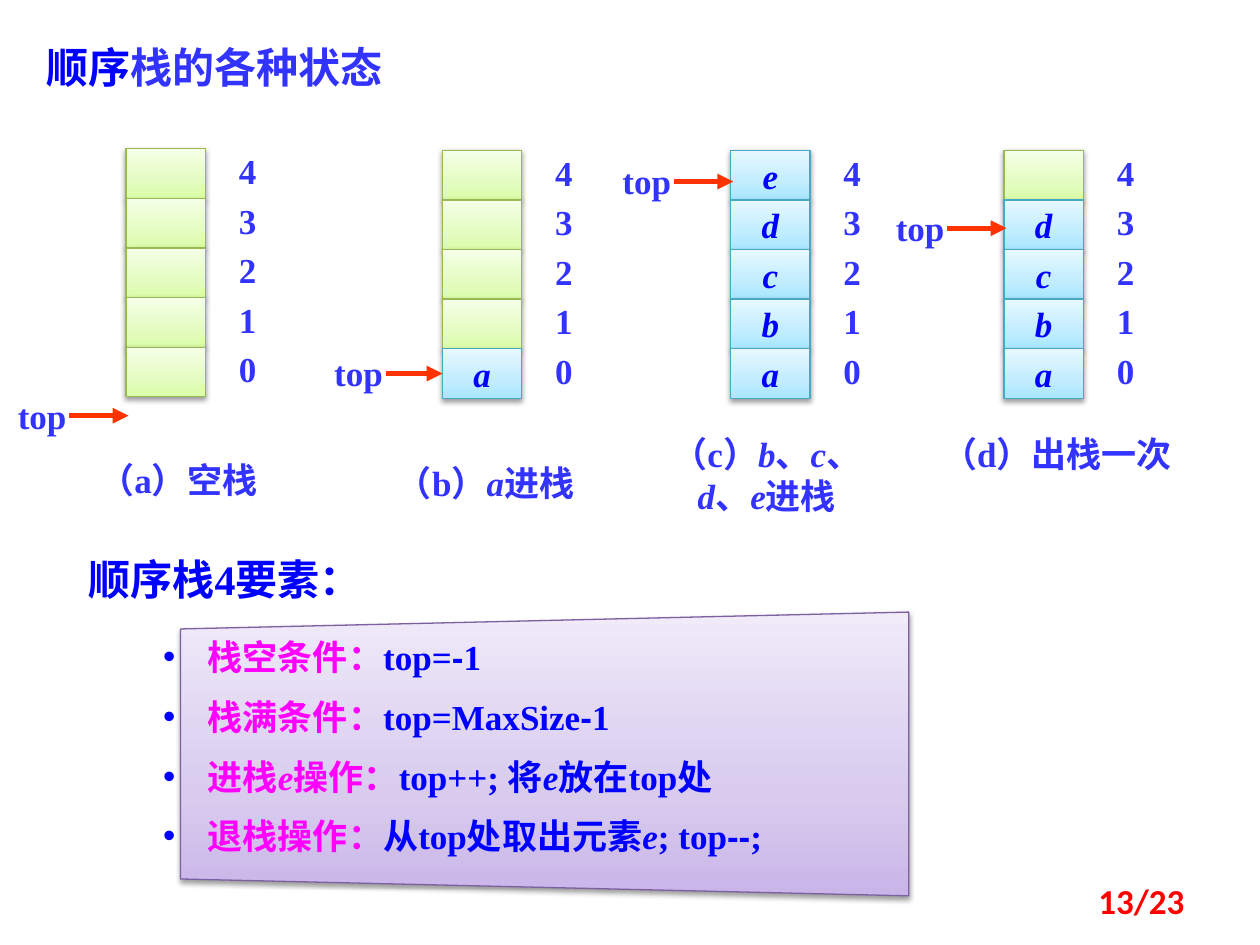
from dataclasses import dataclass
from typing import Optional

from lxml.etree import SubElement
from pptx import Presentation
from pptx.dml.color import RGBColor
from pptx.enum.shapes import MSO_CONNECTOR, MSO_SHAPE
from pptx.enum.text import MSO_ANCHOR, MSO_AUTO_SIZE, PP_ALIGN
from pptx.oxml.ns import qn
from pptx.util import Cm, Pt

SERIF = "Times New Roman"
CHINESE = "Noto Sans CJK SC"
BLUE, INDIGO, MAGENTA = "0000FF", "3333FF", "FF00FF"
ORANGE, RED = "FF3300", "FF0000"
GREEN_STOPS = ("DAFDA7", "E4FCC2", "F5FFE7")
CYAN_STOPS = ("A7E6FF", "C1EDFF", "E7F8FF")
PURPLE_STOPS = ("C9B5E8", "D8CBEE", "F0EAF9")
GREEN_LINE, CYAN_LINE, PURPLE_LINE = "98B955", "46AAC5", "7D60A0"
CELL_WIDTH, CELL_HEIGHT, CAPACITY = 1.6, 1, 5
LABEL_HEIGHT = 1.09


@dataclass(frozen=True)
class Run:
    text: str
    color: str = INDIGO
    italic: bool = False
    font: str = SERIF


@dataclass(frozen=True)
class Stack:
    left: float
    top: float
    items: str
    pointer_y: float
    caption: tuple[Run, ...]
    caption_box: tuple[float, float, float]
    joined_level: Optional[int] = None


STACKS = (
    Stack(2.54, 3, "", 8.38, (Run("（a）空栈"),), (1.6, 9.12, 3.99)),
    Stack(8.92, 3.03, "a", 7.53,
          (Run("（b）"), Run("a", italic=True), Run("进栈")), (7.39, 9.17, 4.8), 0),
    Stack(14.73, 3.03, "abcde", 3.66,
          (Run("（c）"), Run("b", italic=True), Run("、"), Run("c", italic=True), Run("、"),
           Run("d", italic=True), Run("、"), Run("e", italic=True), Run("进栈")),
          (13.21, 8.59, 4.5)),
    Stack(20.24, 3.03, "abcd", 4.6, (Run("（d）出栈一次"),), (18.72, 8.59, 5.18)),
)
ELEMENTS = (
    (Run("栈空条件：", MAGENTA), Run("top=", BLUE), Run("-", BLUE, font="Arial"), Run("1", BLUE)),
    (Run("栈满条件：", MAGENTA), Run("top=MaxSize", BLUE), Run("-", BLUE, font="Arial"),
     Run("1", BLUE)),
    (Run("进栈", MAGENTA), Run("e", MAGENTA, True), Run("操作：", MAGENTA),
     Run("top++; 将", BLUE), Run("e", BLUE, True), Run("放在top处", BLUE)),
    (Run("退栈操作：", MAGENTA), Run("从top处取出元素", BLUE), Run("e", BLUE, True),
     Run("; top", BLUE), Run("--", BLUE, font="Arial"), Run(";", BLUE)),
)


def rgb(color: str) -> RGBColor:
    return RGBColor.from_string(color)


def add_bullet(paragraph, color: str) -> None:
    properties = paragraph._p.get_or_add_pPr()
    properties.set("marL", str(Cm(0.9)))
    properties.set("indent", str(-Cm(0.9)))
    bullet_color = SubElement(properties, qn("a:buClr"))
    SubElement(bullet_color, qn("a:srgbClr"), val=color)
    SubElement(properties, qn("a:buFont"), typeface="Arial")
    SubElement(properties, qn("a:buChar"), char="•")


def write_text(shape, paragraphs, *, size=20, align=PP_ALIGN.LEFT, anchor=MSO_ANCHOR.TOP,
               wrap=True, insets=None, bullet_color=None, space_before=0) -> None:
    frame = shape.text_frame
    frame.word_wrap = wrap
    frame.auto_size = MSO_AUTO_SIZE.NONE
    frame.vertical_anchor = anchor
    if insets:
        (frame.margin_left, frame.margin_top,
         frame.margin_right, frame.margin_bottom) = map(Cm, insets)
    for number, runs in enumerate(paragraphs):
        paragraph = frame.add_paragraph() if number else frame.paragraphs[0]
        if bullet_color:
            add_bullet(paragraph, bullet_color)
        paragraph.alignment = align
        paragraph.space_before = Pt(space_before if number else 0)
        for item in runs:
            run = paragraph.add_run()
            run.text = item.text
            run.font.size = Pt(size)
            run.font.bold = True
            run.font.italic = item.italic
            run.font.name = item.font
            run.font.color.rgb = rgb(item.color)
            SubElement(run._r.get_or_add_rPr(), qn("a:ea"), typeface=CHINESE)


def place(shape, left: float, top: float, width: float, height: float) -> None:
    shape.left, shape.top, shape.width, shape.height = map(Cm, (left, top, width, height))


def add_label(slide, box, runs, **text_format) -> None:
    write_text(slide.shapes.add_textbox(*map(Cm, box)), [runs], **text_format)


def style_shape(shape, stops, line_color: str) -> None:
    shape.fill.gradient()
    shape.fill.gradient_angle = 90
    stop_list = shape.element.spPr.find(".//" + qn("a:gsLst"))
    stop_list.clear()
    for position, color in zip((0, 35000, 100000), stops):
        stop = SubElement(stop_list, qn("a:gs"), pos=str(position))
        SubElement(stop, qn("a:srgbClr"), val=color)
    shape.line.color.rgb = rgb(line_color)
    shape.line.width = Pt(0.75)
    shape.shadow.inherit = False
    effects = shape.element.spPr.find(qn("a:effectLst"))
    shadow = SubElement(effects, qn("a:outerShdw"), blurRad=str(Pt(3.1)), dist=str(Pt(1.6)),
                        dir="5400000", rotWithShape="0")
    shadow_color = SubElement(shadow, qn("a:srgbClr"), val="000000")
    SubElement(shadow_color, qn("a:alpha"), val="38000")


def add_pointer(slide, stack: Stack, cells) -> None:
    arrow = slide.shapes.add_connector(
        MSO_CONNECTOR.STRAIGHT, Cm(stack.left - 1.14), Cm(stack.pointer_y),
        Cm(stack.left + 0.05), Cm(stack.pointer_y))
    if stack.joined_level is not None:
        arrow.end_connect(cells[stack.joined_level], 1)
    arrow.line.color.rgb = rgb(ORANGE)
    arrow.line.width = Pt(3)
    SubElement(arrow.line._get_or_add_ln(), qn("a:tailEnd"), type="triangle")
    SubElement(arrow.element.spPr, qn("a:effectLst"))
    add_label(slide, (stack.left - 2.49, stack.pointer_y - 0.56, CELL_WIDTH, LABEL_HEIGHT),
              [Run("top")], align=PP_ALIGN.CENTER)


def add_stack(slide, stack: Stack) -> None:
    cells = {}
    for level in reversed(range(CAPACITY)):
        top = stack.top + (CAPACITY - 1 - level) * CELL_HEIGHT
        cell = slide.shapes.add_shape(
            MSO_SHAPE.RECTANGLE, *map(Cm, (stack.left, top, CELL_WIDTH, CELL_HEIGHT)))
        cells[level] = cell
        if level < len(stack.items):
            style_shape(cell, CYAN_STOPS, CYAN_LINE)
            write_text(cell, [[Run(stack.items[level], BLUE, True)]], align=PP_ALIGN.CENTER,
                       anchor=MSO_ANCHOR.MIDDLE, wrap=False)
        else:
            style_shape(cell, GREEN_STOPS, GREEN_LINE)
        add_label(slide, (stack.left + 1.85, top - 0.11, 1.2, LABEL_HEIGHT),
                  [Run(str(level))], align=PP_ALIGN.CENTER)
    add_pointer(slide, stack, cells)
    add_label(slide, (*stack.caption_box, LABEL_HEIGHT), stack.caption, align=PP_ALIGN.CENTER)


def add_elements_list(slide, body) -> None:
    builder = slide.shapes.build_freeform(Cm(3.64), Cm(12.68))
    builder.add_line_segments(
        [(Cm(x), Cm(y)) for x, y in ((18.32, 12.34), (18.32, 18.06), (3.64, 17.72))])
    panel = builder.convert_to_shape()
    style_shape(panel, PURPLE_STOPS, PURPLE_LINE)
    body.element.addprevious(panel.element)
    place(body, 2.69, 12.52, 15.57, 5.31)
    write_text(body, ELEMENTS, insets=(0.6, 0.3, 0.4, 0.3), bullet_color=BLUE, space_before=10)


def main() -> None:
    presentation = Presentation()
    presentation.slide_width, presentation.slide_height = Cm(25.4), Cm(19.05)
    slide = presentation.slides.add_slide(presentation.slide_layouts[1])
    title, body = slide.placeholders
    place(title, 0.69, 0.71, 8.64, 1.27)
    write_text(title, [[Run("顺序", BLUE), Run("栈的各种状态", font=CHINESE)]], size=24)
    add_elements_list(slide, body)
    add_label(slide, (1.19, 10.85, 7.14, 1.63), [Run("顺序栈4要素：", BLUE)], size=24,
              insets=(0.6, 0.3, 0.4, 0.3))
    for stack in STACKS:
        add_stack(slide, stack)
    add_label(slide, (18.21, 17.65, 5.92, 1.02), [Run("13/23", RED, font="Calibri")],
              align=PP_ALIGN.RIGHT, anchor=MSO_ANCHOR.MIDDLE)
    presentation.save("out.pptx")


if __name__ == "__main__":
    main()
